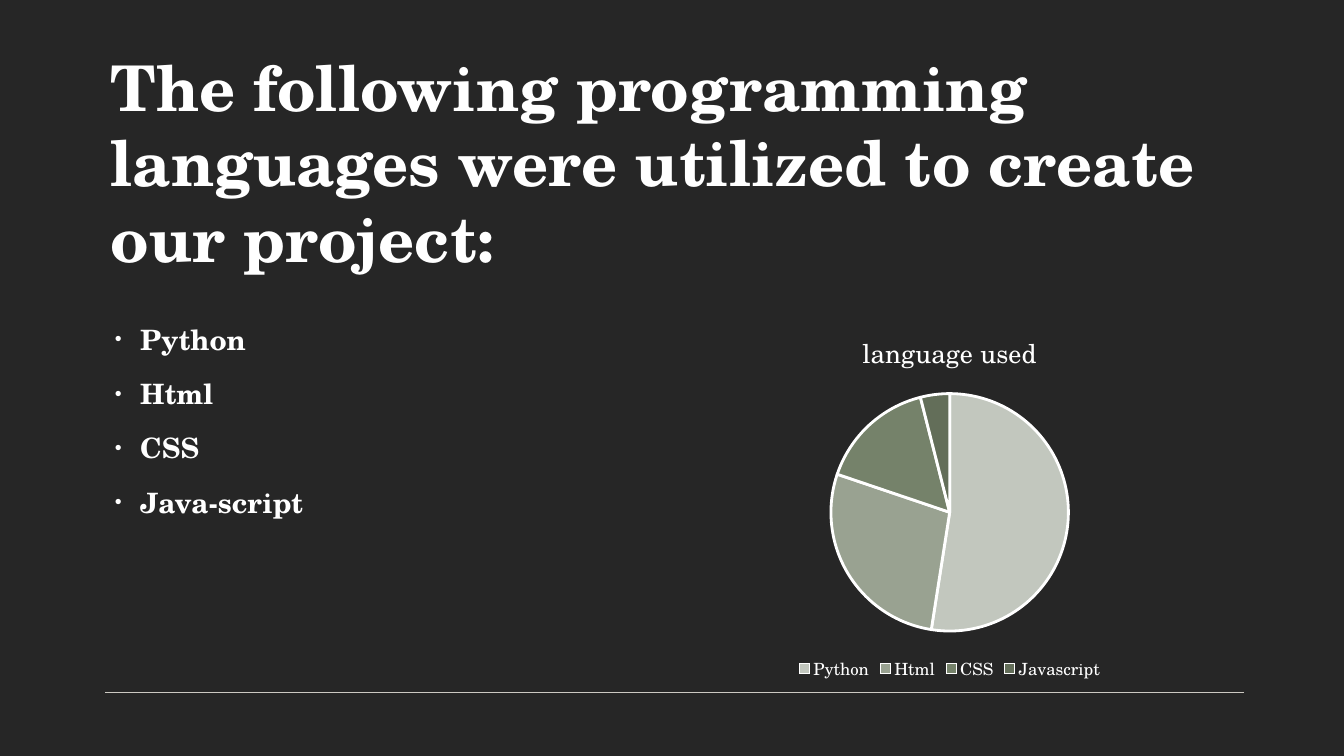
from lxml import etree
from pptx import Presentation
from pptx.chart.data import CategoryChartData
from pptx.dml.color import RGBColor
from pptx.enum.chart import XL_CHART_TYPE, XL_LEGEND_POSITION
from pptx.enum.shapes import MSO_CONNECTOR
from pptx.enum.text import MSO_ANCHOR, MSO_AUTO_SIZE, PP_ALIGN
from pptx.oxml.ns import qn
from pptx.util import Inches, Pt

PIE = XL_CHART_TYPE.PIE
LEGEND_BOTTOM = XL_LEGEND_POSITION.BOTTOM
STRAIGHT = MSO_CONNECTOR.STRAIGHT
TOP, BOTTOM = MSO_ANCHOR.TOP, MSO_ANCHOR.BOTTOM
NO_AUTOFIT = MSO_AUTO_SIZE.NONE
LEFT = PP_ALIGN.LEFT

COLORS = {"background": "262626", "text": "FFFFFF", "rule": "CCC9C2"}
LANGUAGE_SHARES = {
    "Python": (53, "C2C7BE"),
    "Html": (28, "99A291"),
    "CSS": (16, "75826A"),
    "Javascript": (4, "636E59"),
}
LANGUAGES = ["Python", "Html", "CSS", "Java-script"]


def apply_format(target, values):
    for name, value in values.items():
        setattr(target, name, value)


class SlideBuilder:
    """Holds the style and slide; positions are percentages of the slide's size."""

    font_name = "TeX Gyre Schola"

    def __init__(self, presentation):
        self.width = presentation.slide_width
        self.height = presentation.slide_height
        self.slide = presentation.slides.add_slide(presentation.slide_layouts[1])
        self.paint(self.slide.background.fill, COLORS["background"])

    def paint(self, fill, color):
        fill.solid()
        fill.fore_color.rgb = RGBColor.from_string(color)

    def across(self, percent):
        return round(self.width * percent / 100)

    def down(self, percent):
        return round(self.height * percent / 100)

    def box(self, left, top, width, height):
        return {
            "left": self.across(left),
            "top": self.down(top),
            "width": self.across(width),
            "height": self.down(height),
        }

    def style_font(self, font, size, bold=False):
        apply_format(font, {"name": self.font_name, "size": Pt(size), "bold": bold})
        font.color.rgb = RGBColor.from_string(COLORS["text"])

    def fill_placeholder(self, placeholder, lines, box, anchor, size, spacing):
        apply_format(placeholder, box)
        frame = placeholder.text_frame
        frame.text = "\n".join(lines)
        apply_format(frame, {
            "word_wrap": True, "auto_size": NO_AUTOFIT, "vertical_anchor": anchor,
        })
        for paragraph in frame.paragraphs:
            apply_format(paragraph, {"alignment": LEFT, **spacing})
            self.style_font(paragraph.runs[0].font, size, bold=True)
        return frame

    def title(self, text, box):
        spacing = {"line_spacing": 1.0, "space_before": Pt(0)}
        self.fill_placeholder(self.slide.shapes.title, [text], box, BOTTOM, 45, spacing)

    def bullets(self, lines, box):
        spacing = {"line_spacing": 1.2, "space_before": Pt(10)}
        body = self.slide.placeholders[1]
        frame = self.fill_placeholder(body, lines, box, TOP, 20, spacing)
        indent = Inches(0.25)
        for paragraph in frame.paragraphs:
            properties = paragraph._p.get_or_add_pPr()
            properties.set("marL", str(indent))
            properties.set("indent", str(-indent))
            for tag, name, value in (
                ("a:buSzPct", "val", "70000"),
                ("a:buFont", "typeface", "Arial"),
                ("a:buChar", "char", "•"),
            ):
                etree.SubElement(properties, qn(tag)).set(name, value)

    def rule(self, left, right, top):
        y = self.down(top)
        line = self.slide.shapes.add_connector(
            STRAIGHT, self.across(right), y, self.across(left), y)
        line.line.width = Pt(0.85)
        self.paint(line.line.fill, COLORS["rule"])
        etree.SubElement(line._element.spPr, qn("a:effectLst"))

    def pie(self, title, shares, box):
        data = CategoryChartData()
        data.categories = list(shares)
        data.add_series(title, [value for value, _ in shares.values()])
        frame = self.slide.shapes.add_chart(
            PIE, box["left"], box["top"], box["width"], box["height"], data)
        chart = frame.chart
        self.style_font(chart.font, 10)
        chart.has_title = True
        title_frame = chart.chart_title.text_frame
        title_frame.text = title
        self.style_font(title_frame.paragraphs[0].runs[0].font, 18.6)
        chart.has_legend = True
        apply_format(chart.legend, {
            "position": LEGEND_BOTTOM, "include_in_layout": False,
        })
        self.style_font(chart.legend.font, 12)
        plot = chart.plots[0]
        plot.vary_by_categories = True
        for index, (_, color) in enumerate(shares.values()):
            wedge = plot.series[0].points[index].format
            self.paint(wedge.fill, color)
            self.paint(wedge.line.fill, COLORS["text"])
            wedge.line.width = Pt(2)


def main():
    presentation = Presentation()
    apply_format(presentation, {
        "slide_width": Inches(13.33), "slide_height": Inches(7.5),
    })
    builder = SlideBuilder(presentation)
    builder.title(
        "The following programming languages were utilized to create our project:",
        builder.box(7.5, 13.87, 84.7, 23.2))
    builder.bullets(LANGUAGES, builder.box(7.8, 41.07, 43.2, 46))
    builder.rule(7.8, 92.57, 91.6)
    builder.pie("language used", LANGUAGE_SHARES, builder.box(49.06, 41.47, 43.2, 49.07))
    presentation.save("out.pptx")


if __name__ == "__main__":
    main()
